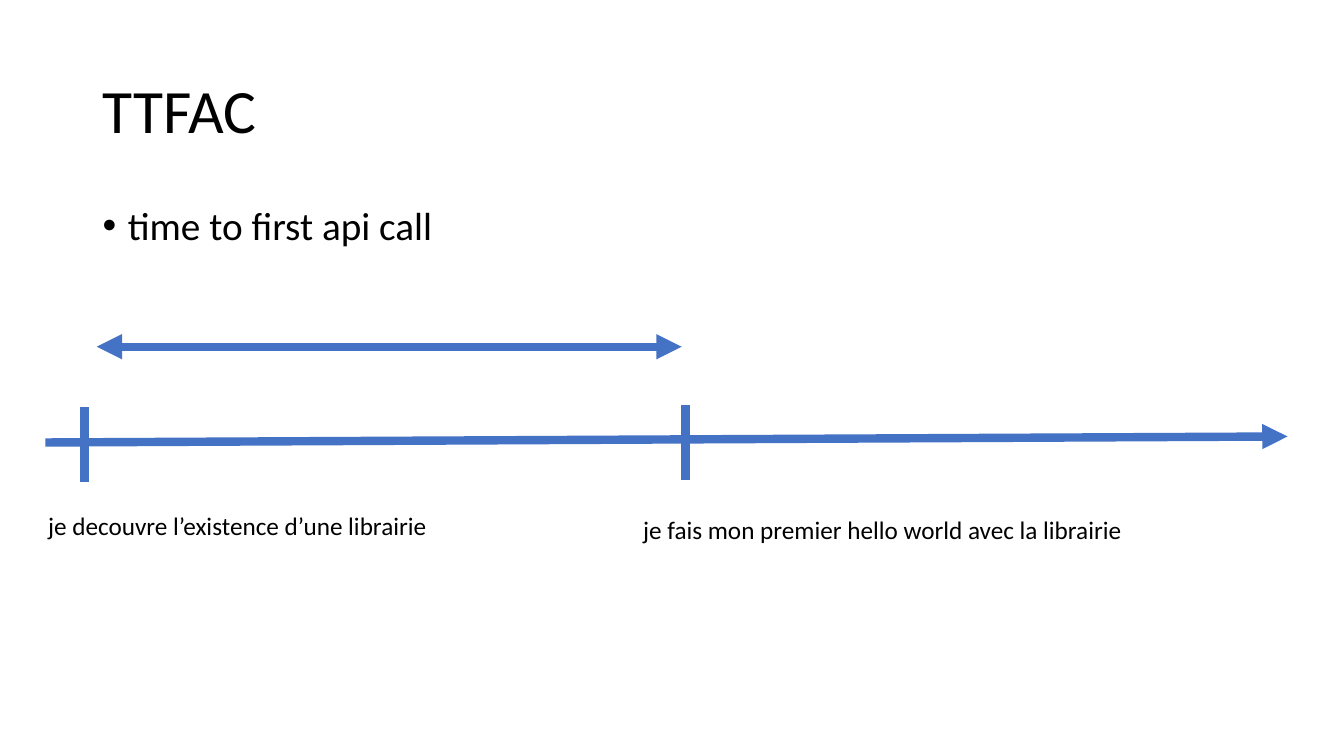
"""Build the TTFAC timeline slide."""
from lxml import etree
from pptx import Presentation
from pptx.dml.color import RGBColor
from pptx.enum import shapes, text
from pptx.oxml import ns
from pptx.util import Inches, Pt

HUES = {"ink": "000000", "line": "4472C4"}


def style(frame, words, size, form):
    """Fill a text frame with one styled paragraph."""
    for key, val in form.items():
        setattr(frame, key, val)
    para = frame.paragraphs[0]
    para.text = words
    para.alignment = text.PP_ALIGN.LEFT
    font = para.runs[0].font
    font.name, font.size = "Calibri", Pt(size)
    font.color.rgb = RGBColor.from_string(HUES["ink"])
    return para


deck = Presentation()
deck.slide_width, deck.slide_height = Inches(13.33), Inches(7.5)
slide = deck.slides.add_slide(deck.slide_layouts[5])

title = slide.shapes.title
title.left, title.top = Inches(0.92), Inches(0.4)
title.width, title.height = Inches(11.5), Inches(1.45)
head = style(title.text_frame, "TTFAC", 44, {
    "word_wrap": True,
    "auto_size": text.MSO_AUTO_SIZE.NONE,
    "vertical_anchor": text.MSO_ANCHOR.MIDDLE,
})
head.line_spacing = 0.9

body = slide.shapes.add_textbox(Inches(0.92), Inches(2), Inches(11.5), Inches(0.58))
item = style(body.text_frame, "time to first api call", 28, {"word_wrap": True})
props = item._p.get_or_add_pPr()
props.set("marL", str(Inches(0.25)))
props.set("indent", str(Inches(-0.25)))
face = etree.SubElement(props, ns.qn("a:buFont"))
face.set("typeface", "Arial")
mark = etree.SubElement(props, ns.qn("a:buChar"))
mark.set("char", "•")
item.line_spacing = 0.9

lines = [
    (0.45, 4.39, 12.77, 4.33, ["tailEnd"]),
    (0.84, 4.04, 0.84, 4.78, []),
    (6.8, 4.02, 6.8, 4.76, []),
    (0.96, 3.44, 6.76, 3.44, ["headEnd", "tailEnd"]),
]
for *ends, tips in lines:
    link = slide.shapes.add_connector(
        shapes.MSO_CONNECTOR.STRAIGHT, *[Inches(end) for end in ends])
    link.line.color.rgb = RGBColor.from_string(HUES["line"])
    link.line.width = Pt(6)
    stroke = link.line._get_or_add_ln()
    for tip in tips:
        etree.SubElement(stroke, ns.qn(f"a:{tip}")).set("type", "triangle")
    etree.SubElement(link._element.spPr, ns.qn("a:effectLst"))

notes = [
    (0.38, 5.01, 4, "je decouvre l’existence d’une librairie"),
    (6.28, 5.05, 5.01, "je fais mon premier hello world avec la librairie"),
]
for left, top, width, words in notes:
    note = slide.shapes.add_textbox(Inches(left), Inches(top), Inches(width), Inches(0.4))
    style(note.text_frame, words, 18, {
        "word_wrap": False,
        "auto_size": text.MSO_AUTO_SIZE.SHAPE_TO_FIT_TEXT,
    })

deck.save("out.pptx")
